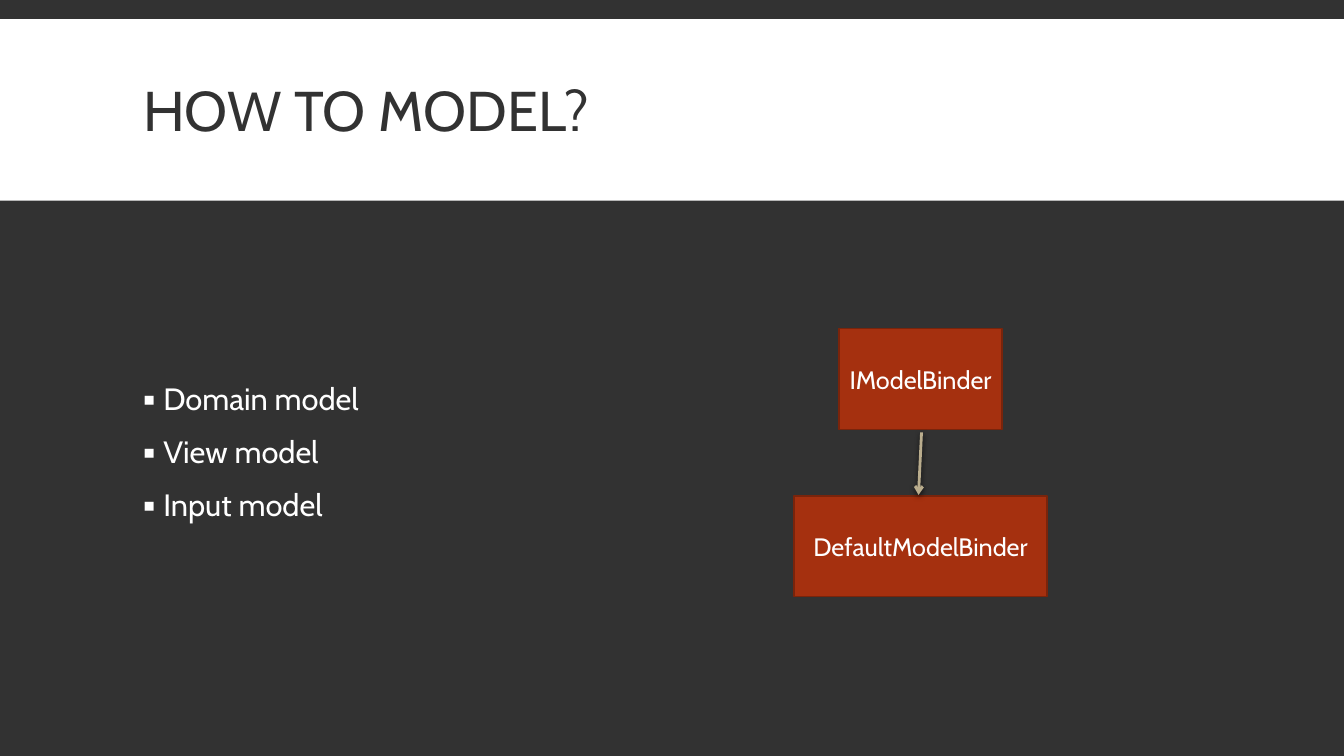
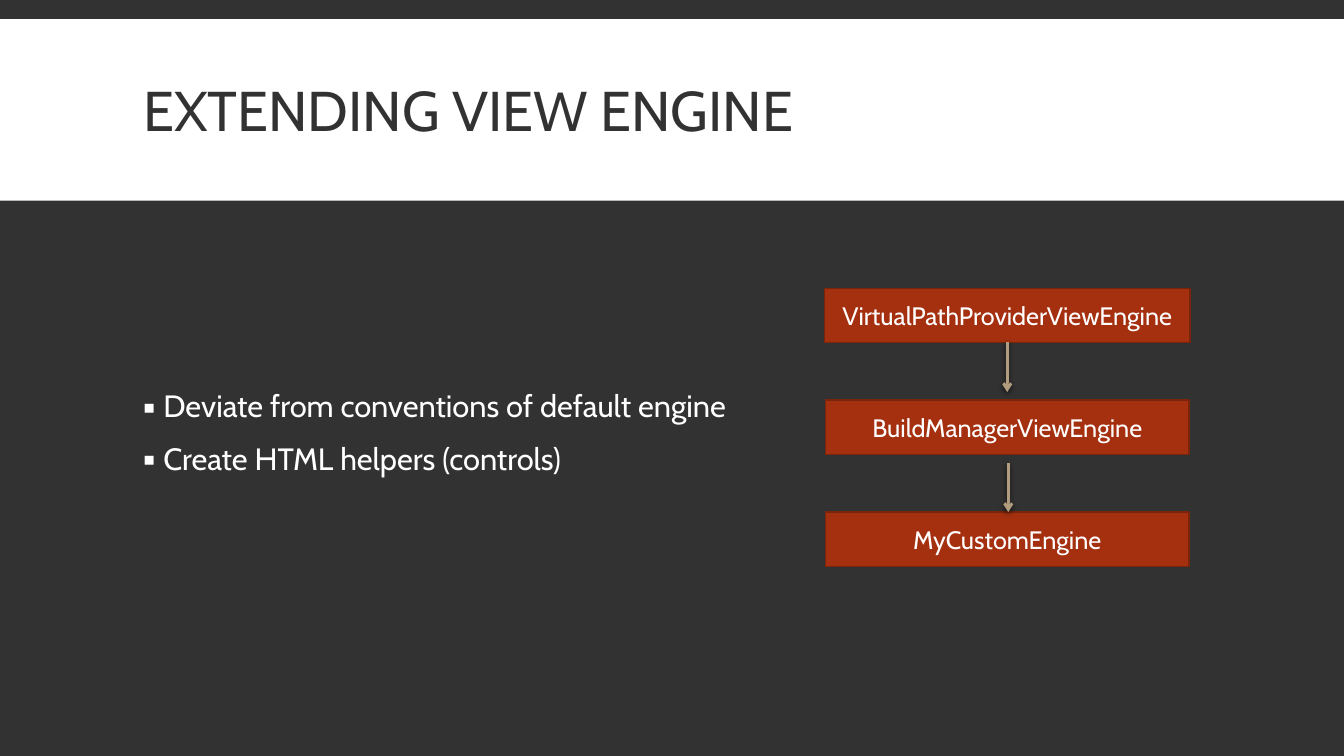
from lxml import etree
from pptx import Presentation
from pptx.dml.color import RGBColor
from pptx.enum.shapes import MSO_CONNECTOR as CONNECTOR, MSO_SHAPE as SHAPE
from pptx.enum.text import MSO_ANCHOR as ANCHOR, MSO_AUTO_SIZE as AUTO_SIZE, PP_ALIGN as ALIGN
from pptx.oxml import parse_xml
from pptx.oxml.ns import nsdecls, qn
from pptx.util import Inches, Pt

DARK = RGBColor(0x32, 0x32, 0x32)
WHITE = RGBColor(0xFF, 0xFF, 0xFF)
RUST = RGBColor(0xA5, 0x30, 0x0F)
RUST_EDGE = RGBColor(0x7A, 0x24, 0x0B)
SAND = RGBColor(0xBA, 0xAD, 0x8D)
TAN = RGBColor(0xB1, 0x9C, 0x7D)
FONT = "Cabin"

ARROW_SHADOW = f"""<a:effectLst {nsdecls("a")}>
  <a:outerShdw blurRad="{Pt(4)}" dist="{Pt(1.2)}" dir="5400000" rotWithShape="0">
    <a:srgbClr val="000000"><a:alpha val="68000"/></a:srgbClr>
  </a:outerShdw>
</a:effectLst>"""

# Boxes are (text, width), stacked around one centre line;
# arrows are (from x, from y, to x, to y). All lengths in inches.
TOPICS = [
    {
        "title": "HOW TO MODEL?",
        "points": ["Domain model", "View model", "Input model"],
        "points_height": 4.6,
        "boxes": [("IModelBinder", 1.62), ("DefaultModelBinder", 2.51)],
        "center": 9.13, "top": 3.26, "pitch": 1.66, "box_height": 1,
        "arrows": [(9.14, 4.29, 9.11, 4.91)],
        "arrow_color": SAND,
    },
    {
        "title": "EXTENDING VIEW ENGINE",
        "points": ["Deviate from conventions of default engine",
                   "Create HTML helpers (controls)"],
        "points_height": 4.22,
        "boxes": [("VirtualPathProviderViewEngine", 3.63),
                  ("BuildManagerViewEngine", 3.61), ("MyCustomEngine", 3.61)],
        "center": 9.99, "top": 2.86, "pitch": 1.11, "box_height": 0.54,
        "arrows": [(9.99, 3.39, 9.99, 3.89), (10, 4.59, 10, 5.08)],
        "arrow_color": TAN,
    },
]


def add_text(paragraph, text, size, color):
    run = paragraph.add_run()
    run.text = text
    run.font.name = FONT
    run.font.size = Pt(size)
    run.font.color.rgb = color


def add_bullet(paragraph):
    props = paragraph._p.get_or_add_pPr()
    props.set("marL", str(Inches(0.2)))
    props.set("indent", str(-Inches(0.2)))
    bullet_color = etree.SubElement(props, qn("a:buClr"))
    etree.SubElement(bullet_color, qn("a:srgbClr"), val=str(WHITE))
    etree.SubElement(props, qn("a:buFont"), typeface=FONT)
    etree.SubElement(props, qn("a:buChar"), char="▪")


prs = Presentation()
prs.slide_width = Inches(13.33)
prs.slide_height = Inches(7.5)

# Shared look: background and title band live on the layout
layout = prs.slide_layouts.get_by_name("Title and Content")
layout.background.fill.solid()
layout.background.fill.fore_color.rgb = DARK
slides = [prs.slides.add_slide(layout) for _ in TOPICS]

band = slides[0].shapes.add_shape(
    SHAPE.RECTANGLE, 0, Inches(0.19), prs.slide_width, Inches(1.8))
band.shadow.inherit = False
band.fill.solid()
band.fill.fore_color.rgb = WHITE
band.line.fill.background()
layout.shapes.element.insert(2, band.element)

for slide, topic in zip(slides, TOPICS):
    title, points = slide.placeholders
    for holder, top, height in ((title, 0.31, 1.65),
                                (points, 2.2, topic["points_height"])):
        holder.left, holder.top = Inches(1.32), Inches(top)
        holder.width, holder.height = Inches(10.7), Inches(height)
        holder.text_frame.vertical_anchor = ANCHOR.MIDDLE
        holder.text_frame.auto_size = AUTO_SIZE.NONE

    heading = title.text_frame.paragraphs[0]
    heading.alignment = ALIGN.LEFT
    heading.line_spacing = 0.85
    add_text(heading, topic["title"], 40, DARK)

    for index, text in enumerate(topic["points"]):
        frame = points.text_frame
        point = frame.add_paragraph() if index else frame.paragraphs[0]
        point.line_spacing = 0.9
        point.space_before = Pt(12)
        point.space_after = Pt(2)
        add_bullet(point)
        add_text(point, text, 22, WHITE)

    for row, (text, width) in enumerate(topic["boxes"]):
        box = slide.shapes.add_shape(
            SHAPE.RECTANGLE,
            Inches(topic["center"] - width / 2),
            Inches(topic["top"] + row * topic["pitch"]),
            Inches(width), Inches(topic["box_height"]))
        box.shadow.inherit = False
        box.fill.solid()
        box.fill.fore_color.rgb = RUST
        box.line.color.rgb = RUST_EDGE
        box.line.width = Pt(1)
        box.text_frame.word_wrap = False
        box.text_frame.vertical_anchor = ANCHOR.MIDDLE
        label = box.text_frame.paragraphs[0]
        label.alignment = ALIGN.CENTER
        add_text(label, text, 18, WHITE)

    for ends in topic["arrows"]:
        arrow = slide.shapes.add_connector(CONNECTOR.STRAIGHT, *map(Inches, ends))
        arrow.line.color.rgb = topic["arrow_color"]
        arrow.line.width = Pt(2)
        etree.SubElement(arrow.line._get_or_add_ln(), qn("a:tailEnd"), type="arrow")
        arrow.element.spPr.append(parse_xml(ARROW_SHADOW))

prs.save("out.pptx")
